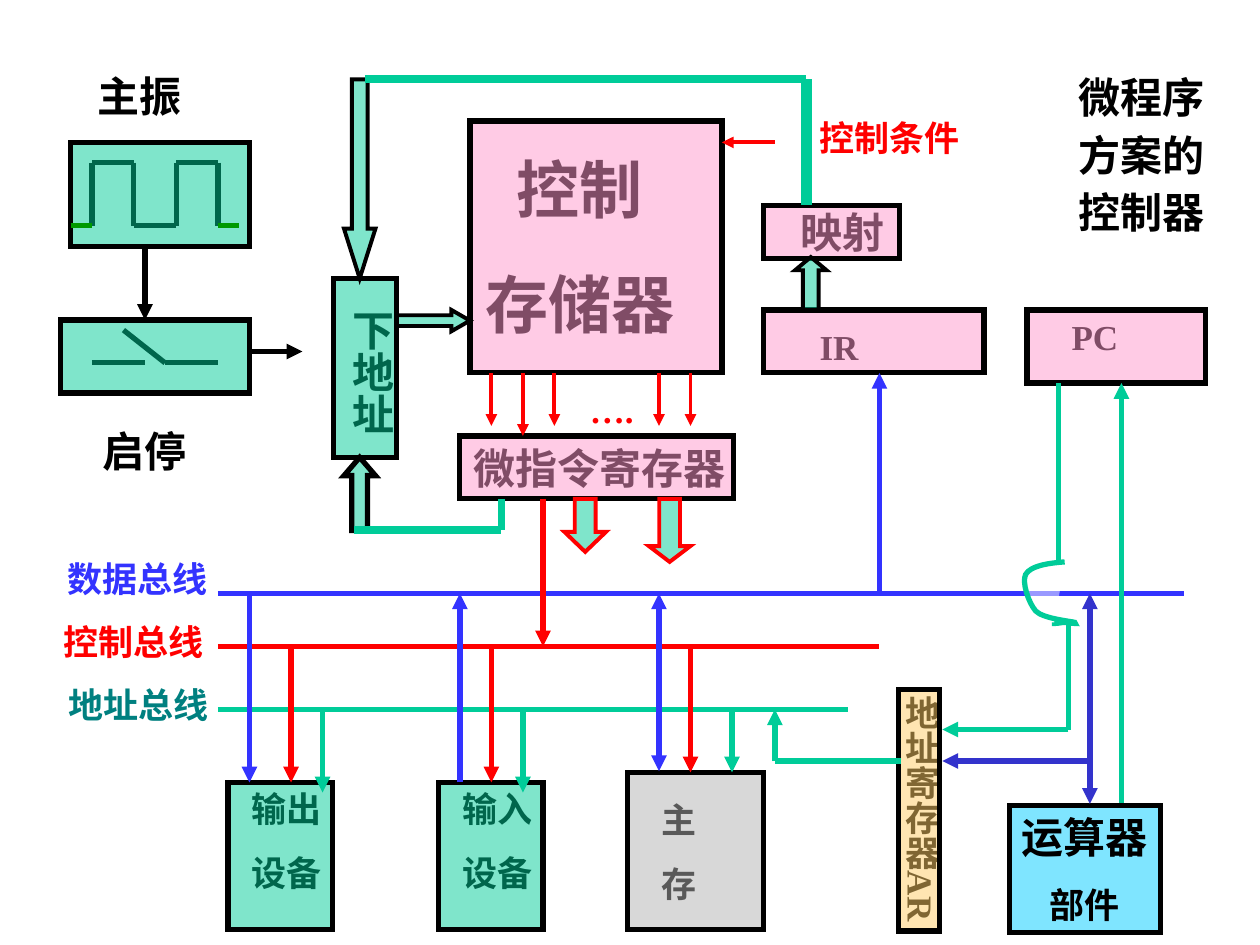
"""Build the block diagram of a microprogrammed controller."""
from itertools import pairwise

from lxml.etree import SubElement
from pptx import Presentation
from pptx.dml.color import RGBColor
from pptx.enum.shapes import MSO_CONNECTOR, MSO_SHAPE as SHAPE
from pptx.enum.text import MSO_ANCHOR, MSO_AUTO_SIZE, PP_ALIGN
from pptx.oxml.ns import qn
from pptx.util import Inches, Pt

FONT = "Times New Roman"
BLACK, RED, BLUE, NAVY = "000000", "FF0000", "3333FF", "3333CC"
GREEN, DARK_GREEN, TEAL = "00CC99", "009900", "008080"
PINK, GREY, ORANGE, CYAN, WHITE = "FF99CC", "B2B2B2", "FFCC66", "00CCFF", "FFFFFF"
DATA_Y, CONTROL_Y, ADDRESS_Y = 4.71, 5.13, 5.63

LABELS = [
    (["控制", "存储器"], (3.73, 1.14, 1.74, 1.62), 36, BLACK),
    (["映射"], (6.24, 1.59, 0.9, 0.5), 24, BLACK),
    (["IR"], (5.93, 2.53, 1.46, 0.44), 20, BLACK),
    (["PC"], (7.9, 2.45, 1.58, 0.44), 20, BLACK),
    (["输出", "设备"], (1.87, 6.2, 0.81, 0.94), 20, BLACK),
    (["输入", "设备"], (3.54, 6.2, 0.81, 0.94), 20, BLACK),
    (["主", "存"], (5.14, 6.29, 0.5, 0.94), 20, BLACK),
    (["启停"], (0.7, 3.33, 0.9, 0.5), 24, BLACK),
    (["主振"], (0.66, 0.51, 0.9, 0.5), 24, BLACK),
    (["微指令寄存器"], (3.64, 3.46, 2.24, 0.5), 24, BLACK),
    (["数据总线"], (0.15, 4.37, 1.88, 0.44), 20, BLUE),
    (["控制总线"], (0.31, 4.87, 1.5, 0.44), 20, RED),
    (["地址总线"], (0.31, 5.37, 1.58, 0.44), 20, TEAL),
    (["控制条件"], (6.38, 0.87, 1.36, 0.44), 20, RED),
    (["…."], (4.56, 3.03, 0.59, 0.44), 20, RED),
]
VERTICAL_LABELS = [
    (["下地址"], (2.65, 2.36, 0.6, 1.33), 24, BLACK),
    (["地址寄存器AR"], (7.05, 5.42, 0.53, 2.08), 20, BLACK),
]
HEADING = ["微程序", "方案的", "控制器"]
ARITHMETIC_UNIT = ["运算器", "部件"]

BOXES = [
    ((1.81, 6.21, 0.83, 1.17), GREEN),
    ((3.48, 6.21, 0.83, 1.17), GREEN),
    ((4.98, 6.13, 1.08, 1.25), GREY),
    ((3.73, 0.96, 2, 2), PINK),
    ((6.06, 2.46, 1.75, 0.5), PINK),
    ((8.15, 2.46, 1.42, 0.58), PINK),
    ((6.06, 1.63, 1.08, 0.42), PINK),
    ((0.56, 1.13, 1.42, 0.83), GREEN),
    ((0.48, 2.54, 1.5, 0.58), GREEN),
    ((7.13, 5.47, 0.33, 1.92), ORANGE),
    ((3.65, 3.46, 2.17, 0.5), PINK),
    ((2.65, 2.21, 0.5, 1.42), GREEN),
]
BLOCK_ARROWS = [
    (SHAPE.UP_ARROW, (6.31, 2.04, 0.25, 0.42), 0.42, BLACK, 2.25),
    (SHAPE.DOWN_ARROW, (5.15, 3.96, 0.33, 0.5), 0.38, RED, 2.25),
    (SHAPE.DOWN_ARROW, (4.48, 3.96, 0.33, 0.42), 0.48, RED, 2.25),
    (SHAPE.RIGHT_ARROW, (3.15, 2.46, 0.58, 0.17), 0.87, BLACK, 2.25),
    (SHAPE.DOWN_ARROW, (2.73, 0.63, 0.25, 1.58), 1.58, BLACK, 2.25),
    (SHAPE.UP_ARROW, (2.73, 3.63, 0.25, 0.58), 0.58, BLACK, 3),
]
BUSES = [(DATA_Y, 9.4, BLUE), (CONTROL_Y, 6.98, RED), (ADDRESS_Y, 6.73, GREEN)]
PULSE = [(0.73, 1.79), (0.73, 1.29), (1.06, 1.29), (1.06, 1.79),
         (1.4, 1.79), (1.4, 1.29), (1.73, 1.29), (1.73, 1.79)]
SWITCH = [[(0.73, 2.88), (1.15, 2.88)], [(1.73, 2.88), (1.31, 2.88), (0.98, 2.62)]]
BRIDGE = [(8.45, 4.46), (8.32, 4.47), (8.18, 4.49), (8.14, 4.56),
          (8.11, 4.62), (8.16, 4.78), (8.22, 4.85),
          (8.28, 4.91), (8.49, 4.93), (8.53, 4.94),
          (8.56, 4.96), (8.48, 4.94), (8.45, 4.94),
          (8.42, 4.94), (8.35, 4.96), (8.37, 4.94)]
CONTROL_SIGNALS = [(3.9, 3.38), (4.15, 3.46), (4.4, 3.38), (5.23, 3.38), (5.48, 3.38)]
WIRES = [
    ([(1.15, 1.96), (1.15, 2.54)], BLACK, 3, "end"),
    ([(1.98, 2.79), (2.4, 2.79)], BLACK, 3, "end"),
    ([(8.9, 6.37), (8.9, 3.04)], GREEN, 3, "end"),
    ([(8.4, 4.46), (8.4, 3.04)], GREEN, 3, ""),
    ([(8.48, 4.96), (8.48, 5.79), (7.48, 5.79)], GREEN, 3, "end"),
    ([(6.98, DATA_Y), (6.98, 2.96)], BLUE, 3, "end"),
    ([(7.15, 6.04), (6.15, 6.04), (6.15, ADDRESS_Y)], GREEN, 3, "end"),
    ([(5.81, ADDRESS_Y), (5.81, 6.13)], GREEN, 3, "end"),
    ([(4.15, ADDRESS_Y), (4.15, 6.29)], GREEN, 3, "end"),
    ([(2.56, ADDRESS_Y), (2.56, 6.29)], GREEN, 3, "end"),
    ([(2.31, CONTROL_Y), (2.31, 6.21)], RED, 3, "end"),
    ([(3.9, CONTROL_Y), (3.9, 6.21)], RED, 3, "end"),
    ([(5.48, CONTROL_Y), (5.48, 6.13)], RED, 3, "end"),
    ([(4.31, 3.96), (4.31, CONTROL_Y)], RED, 3, "end"),
    ([(1.98, DATA_Y), (1.98, 6.21)], BLUE, 3, "end"),
    ([(3.65, 6.21), (3.65, DATA_Y)], BLUE, 3, "end"),
    ([(5.23, 6.12), (5.23, DATA_Y)], BLUE, 3, "both"),
    ([(6.15, 1.13), (5.73, 1.13)], RED, 2.25, "end"),
    ([(8.65, DATA_Y), (8.65, 6.38)], NAVY, 3, "both"),
    ([(8.65, 6.04), (7.48, 6.04)], NAVY, 3, "end"),
    ([(2.9, 0.63), (6.4, 0.63)], GREEN, 4.5, ""),
    ([(6.4, 0.63), (6.4, 1.63)], GREEN, 6, ""),
    ([(2.81, 4.21), (3.98, 4.21), (3.98, 3.96)], GREEN, 4.5, ""),
    ([(0.56, 1.79), (0.73, 1.79)], DARK_GREEN, 3, ""),
    ([(1.73, 1.79), (1.9, 1.79)], DARK_GREEN, 3, ""),
]


def paint(color_format, color):
    color_format.rgb = RGBColor.from_string(color)


def style_shape(shape, fill, line=BLACK, width=3):
    shape.shadow.inherit = False
    shape.fill.solid()
    paint(shape.fill.fore_color, fill)
    color = shape.fill._xPr.find(qn("a:solidFill"))[0]
    SubElement(color, qn("a:alpha"), val="50000")
    paint(shape.line.color, line)
    shape.line.width = Pt(width)
    SubElement(shape.line._get_or_add_ln(), qn("a:miter"), lim="800000")


def write(shape, lines, sizes, color=BLACK, spacings=None, wrap=False):
    frame = shape.text_frame
    frame.text = "\n".join(lines)
    frame.word_wrap = wrap
    frame.auto_size = MSO_AUTO_SIZE.SHAPE_TO_FIT_TEXT
    frame.vertical_anchor = MSO_ANCHOR.MIDDLE
    for index, (paragraph, size) in enumerate(zip(frame.paragraphs, sizes)):
        paragraph.alignment = PP_ALIGN.CENTER
        paragraph.space_before = Pt(size * 0.625 if index else 0)
        if spacings:
            paragraph.line_spacing = spacings[index]
        font = paragraph.runs[0].font
        font.name, font.size, font.bold = FONT, Pt(size), True
        paint(font.color, color)


def add_label(slide, lines, place, size, color, spacings=None, vertical=False):
    box = slide.shapes.add_textbox(*map(Inches, place))
    write(box, lines, [size] * len(lines), color, spacings, wrap=vertical)
    if vertical:
        frame = box.text_frame
        frame.margin_left = frame.margin_right = Inches(0.05)
        frame.margin_top = frame.margin_bottom = Inches(0.1)
        frame._txBody.bodyPr.set("vert", "eaVert")


def add_box(slide, place, fill):
    box = slide.shapes.add_shape(SHAPE.RECTANGLE, *map(Inches, place))
    style_shape(box, fill)
    return box


def add_wire(slide, points, color, width=3, arrows=""):
    for start, end in pairwise(points):
        wire = slide.shapes.add_connector(MSO_CONNECTOR.STRAIGHT, *map(Inches, start + end))
        paint(wire.line.color, color)
        wire.line.width = Pt(width)
        SubElement(wire._element.spPr, qn("a:effectLst"))
    line = wire.line._get_or_add_ln()
    if arrows == "both":
        SubElement(line, qn("a:headEnd"), type="triangle")
    if arrows:
        SubElement(line, qn("a:tailEnd"), type="triangle")


def add_curve(slide, points, fill, line):
    start, *rest = [tuple(map(Inches, point)) for point in points]
    builder = slide.shapes.build_freeform(*start)
    builder.add_line_segments(rest, close=False)
    curve = builder.convert_to_shape()
    outline = next(curve._element.iter(qn("a:path")))
    segments = outline.findall(qn("a:lnTo"))
    for index in range(0, len(segments), 3):
        bezier = SubElement(outline, qn("a:cubicBezTo"))
        for segment in segments[index:index + 3]:
            bezier.append(segment[0])
            outline.remove(segment)
    style_shape(curve, fill, line)


def main():
    presentation = Presentation()
    presentation.slide_width, presentation.slide_height = Inches(10), Inches(7.5)
    slide = presentation.slides.add_slide(presentation.slide_layouts[6])
    for label in LABELS:
        add_label(slide, *label)
    for label in VERTICAL_LABELS:
        add_label(slide, *label, vertical=True)
    add_label(slide, HEADING, (8.46, 0.59, 1.2, 1.32), 24, BLACK, [0.8, 0.6, 0.6])
    for y, right, color in BUSES:
        add_wire(slide, [(1.73, y), (right, y)], color)
    for points in [PULSE, *SWITCH]:
        add_wire(slide, points, BLACK)
    for place, fill in BOXES:
        add_box(slide, place, fill)
    write(add_box(slide, (8.01, 6.39, 1.2, 1.01), CYAN), ARITHMETIC_UNIT, [24, 20])
    for kind, place, head, line, width in BLOCK_ARROWS:
        arrow = slide.shapes.add_shape(kind, *map(Inches, place))
        arrow.adjustments[0], arrow.adjustments[1] = 0.5, head
        style_shape(arrow, GREEN, line, width)
    add_curve(slide, BRIDGE, WHITE, GREEN)
    for x, bottom in CONTROL_SIGNALS:
        add_wire(slide, [(x, 2.96), (x, bottom)], RED, 2.25, "end")
    for wire in WIRES:
        add_wire(slide, *wire)
    presentation.save("out.pptx")


if __name__ == "__main__":
    main()
